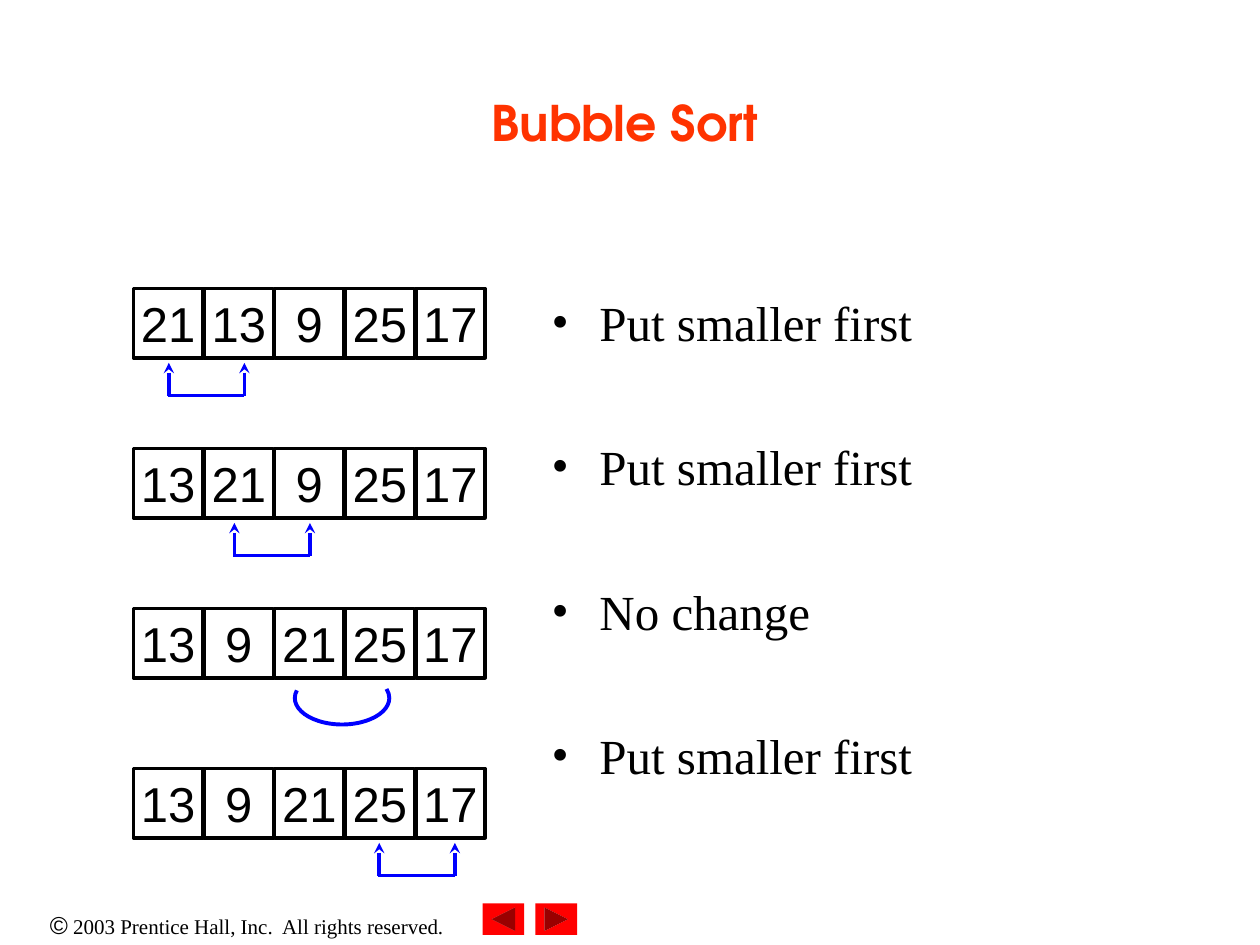
"""Build the bubble sort slide with four array steps."""
from lxml import etree
from pptx import Presentation
from pptx.dml.color import RGBColor
from pptx.enum.shapes import MSO_CONNECTOR, MSO_SHAPE
from pptx.enum.text import MSO_ANCHOR, PP_ALIGN
from pptx.oxml.ns import qn
from pptx.util import Inches, Pt

LINE = MSO_CONNECTOR.STRAIGHT
RECT, ARC = MSO_SHAPE.RECTANGLE, MSO_SHAPE.ARC
BACK = MSO_SHAPE.ACTION_BUTTON_BACK_OR_PREVIOUS
NEXT = MSO_SHAPE.ACTION_BUTTON_FORWARD_OR_NEXT
CENTER = PP_ALIGN.CENTER
BLACK, BLUE, RED, ORANGE = "000000", "0000FF", "FF0000", "FF3300"
SERIF, SANS, HEAD = "Times New Roman", "Arial", "TeX Gyre Adventor"

TITLE = "Bubble Sort"
STEPS = [
    ([21, 13, 9, 25, 17], 1.34, "Put smaller first"),
    ([13, 21, 9, 25, 17], 1.86, "Put smaller first"),
    ([13, 9, 21, 25, 17], None, "No change"),
    ([13, 9, 21, 25, 17], 3.01, "Put smaller first"),
]
FOOTER = [("©", 14, SANS), (" 2003 Prentice Hall, Inc.  All rights reserved.", 12, SERIF)]
BUTTONS = [(BACK, 3.83), (NEXT, 4.25)]

LEFT, TOP, CELL = 1.06, 2.29, 0.55
PITCH, STEP = 0.56, 1.27
DROP, STEM, SPAN = 0.59, 0.26, 0.6


def color(code):
    return RGBColor.from_string(code)


def style(run, size, face, code=BLACK, bold=False):
    font = run.font
    font.size, font.name, font.bold = Pt(size), face, bold
    font.color.rgb = color(code)


def add_text(slide, *box):
    frame = slide.shapes.add_textbox(*map(Inches, box)).text_frame
    frame.word_wrap = True
    return frame


def add_bullet(para):
    props = para._p.get_or_add_pPr()
    props.set("marL", str(Inches(0.38)))
    props.set("indent", str(-Inches(0.38)))
    tint = etree.SubElement(props, qn("a:buClr"))
    etree.SubElement(tint, qn("a:srgbClr")).set("val", BLACK)
    etree.SubElement(props, qn("a:buFont")).set("typeface", SERIF)
    etree.SubElement(props, qn("a:buChar")).set("char", "•")


def add_shape(slide, kind, *box):
    shape = slide.shapes.add_shape(kind, *map(Inches, box))
    shape.shadow.inherit = False
    shape.fill.background()
    return shape


def add_cell(slide, num, x, y):
    cell = add_shape(slide, RECT, x, y, CELL, CELL)
    cell.line.color.rgb, cell.line.width = color(BLACK), Pt(2)
    frame = cell.text_frame
    frame.word_wrap, frame.vertical_anchor = False, MSO_ANCHOR.MIDDLE
    frame.text = str(num)
    para = frame.paragraphs[0]
    para.alignment = CENTER
    style(para.runs[0], 28, SANS)


def add_line(slide, x1, y1, x2, y2, head=False):
    line = slide.shapes.add_connector(LINE, *map(Inches, (x1, y1, x2, y2)))
    line.line.color.rgb, line.line.width = color(BLUE), Pt(2)
    if head:
        etree.SubElement(line.line._get_or_add_ln(), qn("a:headEnd")).set("type", "stealth")
    etree.SubElement(line._element.spPr, qn("a:effectLst"))


def add_swap(slide, x, y):
    for stem in (x, x + SPAN):
        add_line(slide, stem, y, stem, y + STEM, True)
    add_line(slide, x - 0.01, y + STEM, x + SPAN, y + STEM)


def add_arc(slide, y):
    arc = add_shape(slide, ARC, 2.34, y + 0.5, 0.75, 0.42)
    arc.line.color.rgb, arc.line.width = color(BLUE), Pt(2.25)
    for i, angle in enumerate((348.5, 189.6)):
        arc.adjustments[i] = angle * 0.6


def main():
    deck = Presentation()
    deck.slide_width, deck.slide_height = Inches(10), Inches(7.5)
    slide = deck.slides.add_slide(deck.slide_layouts[6])

    para = add_text(slide, 0, 7.17, 3.92, 0.34).paragraphs[0]
    para.alignment = CENTER
    for text, size, face in FOOTER:
        run = para.add_run()
        run.text = text
        style(run, size, face)

    for kind, x in BUTTONS:
        button = add_shape(slide, kind, x, 7.17, 0.33, 0.25)
        button.fill.solid()
        button.fill.fore_color.rgb = color(RED)
        button.line.fill.background()

    frame = add_text(slide, 0.67, 0, 8.58, 1.25)
    frame.vertical_anchor = MSO_ANCHOR.BOTTOM
    frame.text = TITLE
    frame.paragraphs[0].alignment = CENTER
    style(frame.paragraphs[0].runs[0], 28, HEAD, ORANGE, True)

    frame = add_text(slide, 4.28, 2.27, 4.1, 4.67)
    frame.text = "\n".join(note for _, _, note in STEPS)
    for para in frame.paragraphs:
        add_bullet(para)
        para.space_after = Pt(49)
        style(para.runs[0], 28, SERIF)

    for row, (nums, swap, _) in enumerate(STEPS):
        y = TOP + row * STEP
        for col, num in enumerate(nums):
            add_cell(slide, num, LEFT + col * PITCH, y)
        if swap is None:
            add_arc(slide, y)
        else:
            add_swap(slide, swap, y + DROP)

    deck.save("out.pptx")


if __name__ == "__main__":
    main()
